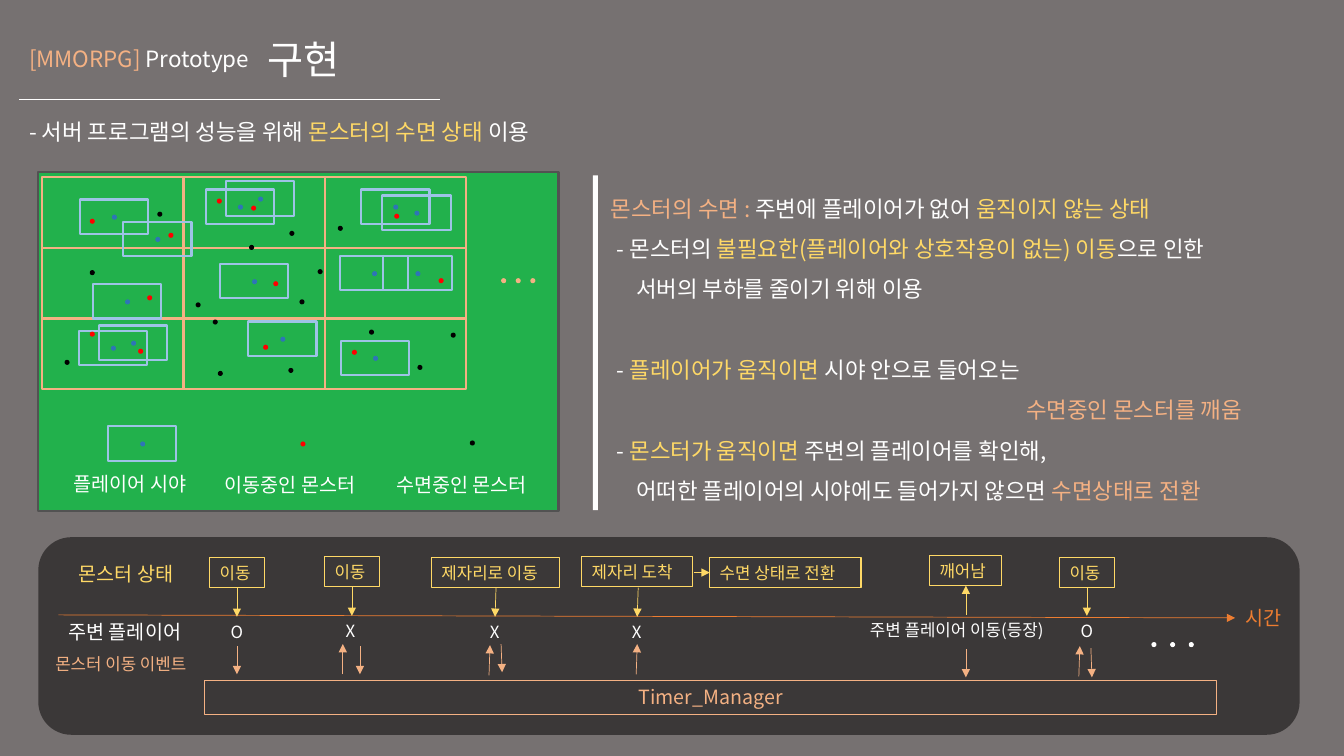
from lxml import etree
from pptx import Presentation
from pptx.dml.color import RGBColor
from pptx.enum.shapes import MSO_CONNECTOR, MSO_SHAPE
from pptx.enum.text import MSO_ANCHOR, MSO_AUTO_SIZE, PP_ALIGN
from pptx.oxml.ns import qn
from pptx.util import Inches, Pt

RECTANGLE, ELLIPSE = MSO_SHAPE.RECTANGLE, MSO_SHAPE.OVAL
ROUNDED = MSO_SHAPE.ROUNDED_RECTANGLE
STRAIGHT = MSO_CONNECTOR.STRAIGHT
TOP, MIDDLE = MSO_ANCHOR.TOP, MSO_ANCHOR.MIDDLE
LEFT, CENTER = PP_ALIGN.LEFT, PP_ALIGN.CENTER
GROW, FIXED = MSO_AUTO_SIZE.SHAPE_TO_FIT_TEXT, MSO_AUTO_SIZE.NONE

FONT = "Noto Sans CJK KR"
BACKGROUND = RGBColor(0x76, 0x71, 0x71)
WHITE = RGBColor(0xFF, 0xFF, 0xFF)
BLACK = RGBColor(0, 0, 0)
RED = RGBColor(0xFF, 0, 0)
GREEN = RGBColor(0x22, 0xB1, 0x4C)
MAP_BORDER = RGBColor(0x52, 0x52, 0x52)
PEACH = RGBColor(0xF4, 0xB1, 0x83)
ORANGE = RGBColor(0xED, 0x7D, 0x31)
YELLOW = RGBColor(0xFF, 0xD9, 0x66)
LIGHT_BLUE = RGBColor(0x9D, 0xC3, 0xE6)
BLUE = RGBColor(0x2E, 0x75, 0xB6)
PANEL = RGBColor(0x3B, 0x38, 0x38)

DOT = 0.05
SIGHTS = [
    (0.79, 1.98), (1.22, 2.2), (2.04, 1.88), (2.24, 1.8), (2.46, 3.19),
    (0.92, 2.82), (3.37, 2.54), (2.18, 2.62), (0.78, 3.28), (3.79, 1.94),
    (3.38, 3.38), (3.8, 2.54), (3.58, 1.88), (0.98, 3.23), (1.07, 4.23)]
SLEEPING = [
    (1.94, 3), (3.35, 2.24), (1.56, 2.1), (3.66, 3.27), (2.86, 3.65),
    (2.11, 3.17), (0.89, 2.68), (4.14, 3.62), (0.64, 3.57), (2.16, 3.68),
    (3.15, 2.67), (4.47, 3.3), (2.97, 2.97), (2.47, 2.43), (2.87, 2.29),
    (4.66, 4.37)]
MOVING = [
    (2.71, 2.79), (1.37, 3.46), (3.91, 2.12), (0.89, 3.29), (4.35, 2.76),
    (2.49, 2.04), (2.15, 1.97), (1.67, 2.31), (0.89, 2.17), (1.46, 2.93),
    (3.49, 3.47), (2.61, 3.42), (2.98, 4.38)]
LEGEND = [("플레이어 시야", 0.63, 4.63, 1.45), ("이동중인 몬스터", 2.13, 4.64, 1.64),
          ("수면중인 몬스터", 3.83, 4.64, 1.64)]

# label, left, top, width
STATES = [
    ("이동", 2.08, 5.53, 0.54), ("이동", 3.22, 5.52, 0.54),
    ("제자리로 이동", 4.28, 5.53, 1.27), ("제자리 도착", 5.77, 5.52, 1.1),
    ("수면 상태로 전환", 7.04, 5.53, 1.5), ("깨어남", 9.22, 5.51, 0.71),
    ("이동", 10.51, 5.53, 0.54)]
STATE_ARROWS = [
    (2.35, 5.83, 2.35, 6.12), (3.49, 5.82, 3.49, 6.11), (4.92, 5.83, 4.91, 6.12),
    (6.33, 5.83, 6.32, 6.12), (6.88, 5.68, 7.04, 5.68), (9.58, 6.1, 9.58, 5.81),
    (10.78, 5.83, 10.78, 6.11)]
EVENT_ARROWS = [
    (2.35, 6.41, 2.35, 6.69), (3.4, 6.69, 3.4, 6.39), (3.57, 6.41, 3.57, 6.69),
    (4.85, 6.7, 4.86, 6.4), (4.97, 6.39, 4.98, 6.67), (6.31, 6.69, 6.32, 6.39),
    (9.58, 6.44, 9.58, 6.72), (10.7, 6.71, 10.71, 6.41), (10.82, 6.43, 10.83, 6.72)]
# text, left, top, width, height, size, colour
TIMELINE_LABELS = [
    ("몬스터 상태", 0.68, 5.53, 1.25, 0.34, 14, YELLOW),
    ("주변 플레이어", 0.58, 6.1, 1.45, 0.34, 14, WHITE),
    ("몬스터 이동 이벤트", 0.45, 6.44, 1.67, 0.3, 12, PEACH),
    ("시간", 12.25, 5.96, 0.59, 0.34, 14, ORANGE),
    ("주변 플레이어 이동(등장)", 8.53, 6.1, 2.11, 0.3, 12, WHITE),
    ("O", 2.19, 6.12, 0.33, 0.3, 12, WHITE), ("X", 3.33, 6.11, 0.3, 0.3, 12, WHITE),
    ("X", 4.76, 6.12, 0.3, 0.3, 12, WHITE), ("X", 6.17, 6.12, 0.3, 0.3, 12, WHITE),
    ("O", 10.62, 6.11, 0.33, 0.3, 12, WHITE)]

# indent in inches, space before in points, runs
EXPLANATION = [
    (0, 0, [("몬스터의 수면 : ", PEACH), ("주변에 플레이어가 없어 ", WHITE),
            ("움직이지 않는 상태", YELLOW)]),
    (0.06, 0, [("- 몬스터의 ", WHITE),
               ("불필요한(플레이어와 상호작용이 없는) 이동", YELLOW), ("으로 인한", WHITE)]),
    (0.25, 0, [("서버의 부하를 줄이기 위해 이용", WHITE)]),
    (0.06, 28.9, [("- ", WHITE), ("플레이어가 움직이면", YELLOW),
                  (" 시야 안으로 들어오는", WHITE)]),
    (4.12, 0, [("수면중인 몬스터를 깨움", PEACH)]),
    (0.06, 0, [("- ", WHITE), ("몬스터가 움직이면", YELLOW),
               (" 주변의 플레이어를 확인해,", WHITE)]),
    (0.25, 0, [("어떠한 플레이어의 시야에도 들어가지 않으면 ", WHITE),
               ("수면상태로 전환", PEACH)])]


def apply(target, values):
    for name, value in values.items():
        setattr(target, name, value)


def add_shape(shapes, kind, box, fill=None, line=None, width=1.5):
    shape = shapes.add_shape(kind, *map(Inches, box))
    shape.shadow.inherit = False
    if fill is None:
        shape.fill.background()
    else:
        shape.fill.solid()
        shape.fill.fore_color.rgb = fill
    if line is None:
        shape.line.fill.background()
    else:
        shape.line.color.rgb = line
        shape.line.width = Pt(width)
    return shape


def add_dots(shapes, places, color):
    for left, top in places:
        add_shape(shapes, ELLIPSE, (left, top, DOT, DOT), color)


def write(shape, paragraphs, size, spacing=1.0, align=LEFT, **frame_format):
    """Fill a shape with paragraphs given as (indent, space before, runs)."""
    frame = shape.text_frame
    apply(frame, {"word_wrap": False, "auto_size": GROW,
                  "vertical_anchor": TOP, **frame_format})
    for index, (indent, before, runs) in enumerate(paragraphs):
        paragraph = frame.add_paragraph() if index else frame.paragraphs[0]
        apply(paragraph, {"alignment": align, "line_spacing": spacing,
                          "space_before": Pt(before)})
        paragraph._p.get_or_add_pPr().set("marL", str(Inches(indent)))
        for text, color in runs:
            run = paragraph.add_run()
            run.text = text
            apply(run.font, {"name": FONT, "size": Pt(size)})
            run.font.color.rgb = color
            east_asian = etree.SubElement(run.font._element, qn("a:ea"))
            east_asian.set("typeface", FONT)


def add_text(slide, box, runs, size, **text_format):
    shape = slide.shapes.add_textbox(*map(Inches, box))
    write(shape, [(0, 0, runs)], size, **text_format)


def add_line(slide, ends, color, arrow=True):
    line = slide.shapes.add_connector(STRAIGHT, *map(Inches, ends))
    line.line.color.rgb = color
    line.line.width = Pt(0.5)
    if arrow:
        etree.SubElement(line.line._get_or_add_ln(), qn("a:tailEnd")).set("type", "triangle")
    etree.SubElement(line._element.spPr, qn("a:effectLst"))


def add_header(slide, left, top):
    add_text(slide, (left, top, 2.98, 0.37),
             [("[MMORPG] ", PEACH), ("Prototype", WHITE)], 16, word_wrap=True)
    add_text(slide, (left + 2.37, top - 0.23, 1.8, 0.89), [("구현", WHITE)], 28,
             spacing=0.9, word_wrap=True, auto_size=FIXED, vertical_anchor=MIDDLE)
    add_line(slide, (left + 4.17, top + 0.59, left, top + 0.59), WHITE, arrow=False)
    add_text(slide, (left, top + 0.59, 8.01, 0.45),
             [("- 서버 프로그램의 성능을 위해 ", WHITE), ("몬스터의 수면 상태", YELLOW),
              (" 이용", WHITE)], 16, spacing=1.5, word_wrap=True)


def add_sight(slide, left, top):
    group = slide.shapes.add_group_shape()
    add_shape(group.shapes, RECTANGLE, (left, top, 0.68, 0.34), line=LIGHT_BLUE)
    add_dots(group.shapes, [(left + 0.32, top + 0.15)], BLUE)


def add_world_map(slide, left, top, width, height):
    add_shape(slide.shapes, RECTANGLE, (left, top, width, height), GREEN, MAP_BORDER)
    for cell in range(9):
        row, column = divmod(cell, 3)
        box = (left + 0.04 + 1.4 * column, top + 0.05 + 0.7 * row, 1.4, 0.7)
        add_shape(slide.shapes, RECTANGLE, box, line=PEACH)
    add_dots(slide.shapes, [(left + 4.59 + 0.145 * n, top + 1.05) for n in range(3)], PEACH)
    for sight in SIGHTS:
        add_sight(slide, *sight)
    add_dots(slide.shapes, SLEEPING, BLACK)
    add_dots(slide.shapes, MOVING, RED)
    for text, label_left, label_top, label_width in LEGEND:
        add_text(slide, (label_left, label_top, label_width, 0.34), [(text, WHITE)], 14)


def add_explanation(slide, left, top, width, height):
    add_shape(slide.shapes, RECTANGLE, (left, top, 0.05, height), WHITE)
    box = (left + 0.08, top, width - 0.08, height)
    shape = slide.shapes.add_textbox(*map(Inches, box))
    write(shape, EXPLANATION, 16, spacing=1.5, word_wrap=True,
          auto_size=FIXED, vertical_anchor=MIDDLE)


def add_timeline(slide, left, top, width, height):
    add_shape(slide.shapes, ROUNDED, (left, top, width, height), PANEL)
    add_line(slide, (left + 0.2, top + 0.77, left + 11.87, top + 0.8), ORANGE)
    timer = add_shape(slide.shapes, RECTANGLE, (left + 1.65, top + 1.42, 10.04, 0.34),
                      line=PEACH, width=0.75)
    write(timer, [(0, 0, [("Timer_Manager", PEACH)])], 14, align=CENTER, word_wrap=True)
    for text, state_left, state_top, state_width in STATES:
        state = add_shape(slide.shapes, RECTANGLE, (state_left, state_top, state_width, 0.3),
                          line=YELLOW, width=0.75)
        write(state, [(0, 0, [(text, YELLOW)])], 12)
    for text, *box, size, color in TIMELINE_LABELS:
        add_text(slide, box, [(text, color)], size)
    for arrows, color in ((STATE_ARROWS, YELLOW), (EVENT_ARROWS, PEACH)):
        for ends in arrows:
            add_line(slide, ends, color)
    add_dots(slide.shapes, [(left + 11.04 + 0.185 * n, top + 1.04) for n in range(3)], WHITE)


def main():
    presentation = Presentation()
    apply(presentation, {"slide_width": Inches(13.33), "slide_height": Inches(7.5)})
    slide = presentation.slides.add_slide(presentation.slide_layouts[6])
    slide.background.fill.solid()
    slide.background.fill.fore_color.rgb = BACKGROUND
    add_header(slide, 0.19, 0.4)
    add_world_map(slide, 0.38, 1.71, 5.16, 3.36)
    add_explanation(slide, 5.88, 1.74, 6.97, 3.32)
    add_timeline(slide, 0.38, 5.33, 12.51, 1.96)
    presentation.save("out.pptx")


if __name__ == "__main__":
    main()
